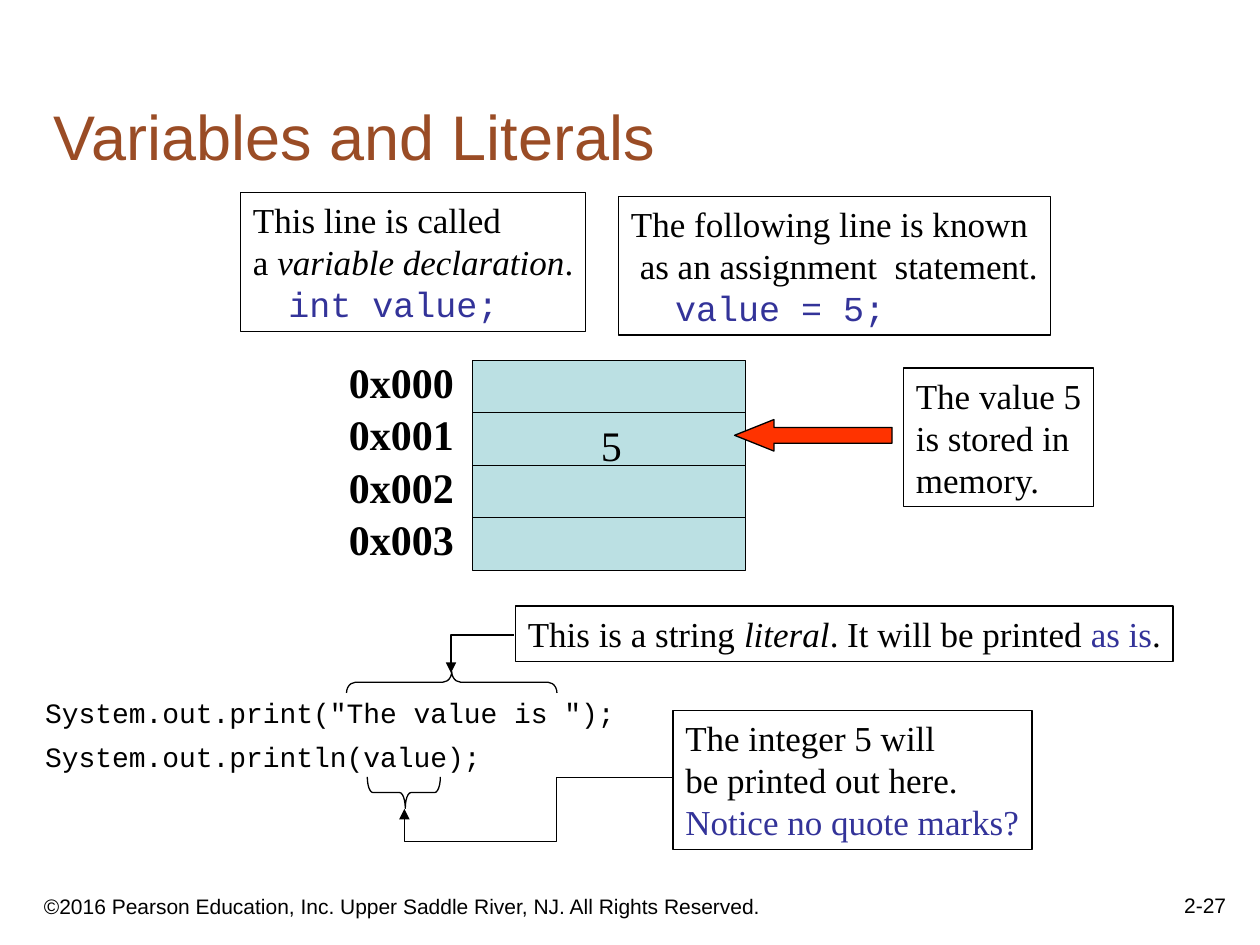
"""Builds the slide on variables and literals, with a memory diagram."""
import pptx
import pptx.util
import pptx.dml.color
import pptx.enum.shapes
import pptx.enum.text
import pptx.oxml.ns
import lxml.etree

Inches = pptx.util.Inches
Pt = pptx.util.Pt
SHAPES = pptx.enum.shapes.MSO_SHAPE
ANCHOR = pptx.enum.text.MSO_ANCHOR
ALIGN = pptx.enum.text.PP_ALIGN
FIT = pptx.enum.text.MSO_AUTO_SIZE
SERIF, SANS, MONO = "Times New Roman", "Arial", "Courier New"
BLACK, BLUE = "000000", "333399"
qn = pptx.oxml.ns.qn


def paint(part, color):
    if hasattr(part, "solid"):
        part.solid()
        part.fore_color.rgb = pptx.dml.color.RGBColor.from_string(color)
    else:
        part.color.rgb = pptx.dml.color.RGBColor.from_string(color)


def text(at, lines, size=20, font=SERIF, color=BLACK, bold=False, edge=False,
         wrap=False, anchor=ANCHOR.TOP, align=ALIGN.LEFT, gap=0, lead=None, indents=()):
    box = slide.shapes.add_textbox(*map(Inches, at))
    if edge:
        paint(box.line, BLACK)
        box.line.width = Pt(0.75)
    frame = box.text_frame
    frame.word_wrap = wrap
    frame.auto_size = FIT.NONE if wrap else FIT.SHAPE_TO_FIT_TEXT
    frame.margin_right = Inches(0.1 if wrap else 0.05)
    frame.vertical_anchor = anchor
    for row, line in enumerate(lines):
        para = frame.add_paragraph() if row else frame.paragraphs[0]
        para.alignment = align
        para.line_spacing = lead
        para.space_before = Pt(gap if row else 0)
        para.space_after = Pt(gap)
        if row < len(indents):
            para._p.get_or_add_pPr().set("marL", str(Inches(indents[row])))
        for words, style in [(line, {})] if isinstance(line, str) else line:
            run = para.add_run()
            run.text = words
            run.font.name = style.get("font", font)
            run.font.size = Pt(size)
            run.font.bold = bold
            run.font.italic = style.get("italic", False)
            paint(run.font, style.get("color", color))


deck = pptx.Presentation()
deck.slide_width, deck.slide_height = Inches(10), Inches(7.5)
slide = deck.slides.add_slide(deck.slide_layouts[6])

text((0.25, 6.92, 6.08, 0.42),
     ["©2016 Pearson Education, Inc. Upper Saddle River, NJ. All Rights Reserved."],
     size=12, font=SANS, wrap=True, anchor=ANCHOR.BOTTOM)
text((7.75, 6.83, 2.08, 0.5), ["2-27"], size=12, font=SANS, wrap=True,
     anchor=ANCHOR.BOTTOM, align=ALIGN.RIGHT)
text((0.33, 0.33, 9.42, 1.09), ["Variables and Literals"], size=36, font=SANS,
     color="9A4C25", wrap=True, anchor=ANCHOR.BOTTOM)

code = {"font": MONO, "color": BLUE}
slant = {"italic": True}
text((1.91, 1.53, 2.74, 1.1),
     ["This line is called",
      [("a ", {}), ("variable declaration", slant), (".", {})],
      [("int value;", code)]], edge=True, indents=(0, 0, 0.28))
text((4.91, 1.56, 3.43, 1.1),
     ["The following line is known",
      "as an assignment  statement.",
      [("value = 5;", code)]], edge=True, indents=(0, 0.07, 0.35))
text((0.26, 5.5, 4.72, 0.69),
     ['System.out.print("The value is ");', "System.out.println(value);"],
     size=16, font=MONO, gap=4, lead=0.9)
text((4.09, 4.81, 5.22, 0.44),
     [[("This is a string ", {}), ("literal", slant), (". It will be printed ", {}),
       ("as is", {"color": BLUE}), (".", {})]], edge=True)
text((5.34, 5.64, 2.85, 1.1),
     ["The integer 5 will", "be printed out here.",
      [("Notice no quote marks?", {"color": BLUE})]], edge=True)
text((7.17, 2.92, 1.51, 1.1), ["The value 5", "is stored in", "memory."], edge=True)

step = 1.25 / 3
figs = [(SHAPES.RECTANGLE, (3.75, 2.86 + row * step, 2.17, step), 0, (), "BBE0E3")
        for row in range(4)]
figs += [(SHAPES.LEFT_BRACE, (3.5, 4.58, 0.17, 1.67), 90, (0.42, 0.5), None),
         (SHAPES.LEFT_BRACE, (3.08, 6, 0.25, 0.58), 270, (0.18, 0.52), None),
         (SHAPES.LEFT_ARROW, (5.83, 3.33, 1.25, 0.25), 0, (0.5, 1.25), "FF3300")]
for kind, at, turn, bends, fill in figs:
    shape = slide.shapes.add_shape(kind, *map(Inches, at))
    shape.shadow.inherit = False
    shape.rotation = turn
    for spot, bend in enumerate(bends):
        shape.adjustments[spot] = bend
    if fill:
        paint(shape.fill, fill)
    else:
        shape.fill.background()
    paint(shape.line, BLACK)
    shape.line.width = Pt(0.75)

for row in range(4):
    text((2.67, 2.78 + row * step, 1.03, 0.5), [f"0x00{row}"], size=24, bold=True)
text((4.67, 3.28, 0.36, 0.5), ["5"], size=24)

links = [("bentConnector2", (4.08, 5.04, 3.58, 5.34), ()),
         ("bentConnector4", (5.33, 6.17, 3.21, 6.42), (43100, 202700))]
for kind, ends, bends in links:
    link = slide.shapes.add_connector(pptx.enum.shapes.MSO_CONNECTOR.ELBOW,
                                      *map(Inches, ends))
    paint(link.line, BLACK)
    link.line.width = Pt(0.75)
    props = link._element.spPr
    shape = props.find(qn("a:prstGeom"))
    shape.set("prst", kind)
    guides = shape.find(qn("a:avLst"))
    for spot, bend in enumerate(bends, 1):
        lxml.etree.SubElement(guides, qn("a:gd"), name=f"adj{spot}", fmla=f"val {bend}")
    lxml.etree.SubElement(props.find(qn("a:ln")), qn("a:tailEnd"), type="triangle")
    lxml.etree.SubElement(props, qn("a:effectLst"))

deck.save("out.pptx")
